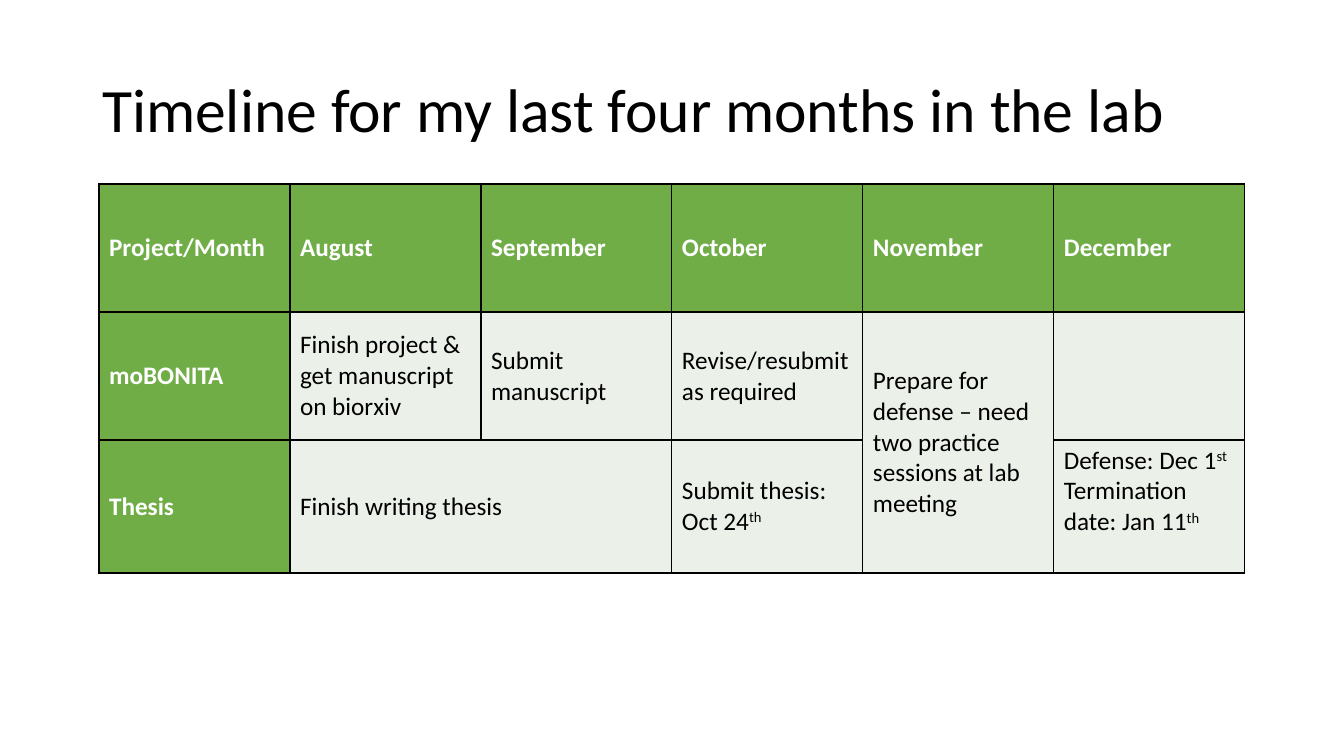
import lxml.etree
import pptx
import pptx.dml.color
import pptx.enum.text
import pptx.oxml.ns
import pptx.util

PX = 914400 / 100.8
THEME = {
    "font": "Calibri", "title_size": 44, "cell_size": 18, "border_width": 1,
    "text": "000000", "head_text": "FFFFFF", "border": "000000",
    "head_fill": "70AD47", "body_fill": "EBF1E9",
}
MIDDLE = pptx.enum.text.MSO_ANCHOR.MIDDLE
TOP = pptx.enum.text.MSO_ANCHOR.TOP

# A caret separates a text from its superscript ending; a line break starts a paragraph.
TIMELINE = [
    ["Project/Month", "August", "September", "October", "November", "December"],
    ["moBONITA", "Finish project & get manuscript on biorxiv", "Submit manuscript",
     "Revise/resubmit as required",
     "Prepare for defense – need two practice sessions at lab meeting", ""],
    ["Thesis", "Finish writing thesis", "", "Submit thesis: Oct 24^th", "",
     "Defense: Dec 1^st\nTermination date: Jan 11^th"],
]
COLUMN_WIDTH = 191
ROW_HEIGHTS = [128, 128, 133]
MERGES = [((1, 4), (2, 4)), ((2, 1), (2, 2))]


def px(*lengths):
    return [pptx.util.Emu(round(n * PX)) for n in lengths]


def add_run(p, text, size, color, bold=False):
    r = p.add_run()
    r.text = text
    values = {"name": THEME["font"], "size": pptx.util.Pt(size), "bold": bold}
    for name, value in values.items():
        setattr(r.font, name, value)
    r.font.color.rgb = pptx.dml.color.RGBColor.from_string(color)
    return r


prs = pptx.Presentation()
prs.slide_width, prs.slide_height = px(1344, 756)
s = prs.slides.add_slide(prs.slide_layouts[5])

title = s.shapes.title
title.left, title.top, title.width, title.height = px(92, 40, 1159, 146)
tf = title.text_frame
tf.word_wrap = True
tf.vertical_anchor = MIDDLE
p = tf.paragraphs[0]
p.alignment = pptx.enum.text.PP_ALIGN.LEFT
p.line_spacing = 0.9
add_run(p, "Timeline for my last four months in the lab", THEME["title_size"], THEME["text"])

rows, columns = len(TIMELINE), len(TIMELINE[0])
frame = s.shapes.add_table(
    rows, columns, *px(99, 184, columns * COLUMN_WIDTH, sum(ROW_HEIGHTS)))
table = frame.table
for column in table.columns:
    column.width = px(COLUMN_WIDTH)[0]
for row, height in zip(table.rows, ROW_HEIGHTS):
    row.height = px(height)[0]

for i, texts in enumerate(TIMELINE):
    for j, text in enumerate(texts):
        cell = table.cell(i, j)
        is_head = i == 0 or j == 0
        color = THEME["head_text" if is_head else "text"]
        fill = THEME["head_fill" if is_head else "body_fill"]
        cell.vertical_anchor = TOP if "\n" in text else MIDDLE

        tcPr = cell._tc.get_or_add_tcPr()
        for side in ("a:lnL", "a:lnR", "a:lnT", "a:lnB"):
            ln = lxml.etree.SubElement(tcPr, pptx.oxml.ns.qn(side))
            ln.set("w", str(pptx.util.Pt(THEME["border_width"])))
            solid = lxml.etree.SubElement(ln, pptx.oxml.ns.qn("a:solidFill"))
            rgb = lxml.etree.SubElement(solid, pptx.oxml.ns.qn("a:srgbClr"))
            rgb.set("val", THEME["border"])
        cell.fill.solid()
        cell.fill.fore_color.rgb = pptx.dml.color.RGBColor.from_string(fill)

        tf = cell.text_frame
        for k, line in enumerate(text.split("\n") if text else []):
            p = tf.add_paragraph() if k else tf.paragraphs[0]
            base, _, ending = line.partition("^")
            add_run(p, base, THEME["cell_size"], color, is_head)
            if ending:
                r = add_run(p, ending, THEME["cell_size"], color, is_head)
                r._r.get_or_add_rPr().set("baseline", "30000")

for first, last in MERGES:
    table.cell(*first).merge(table.cell(*last))

prs.save("out.pptx")
